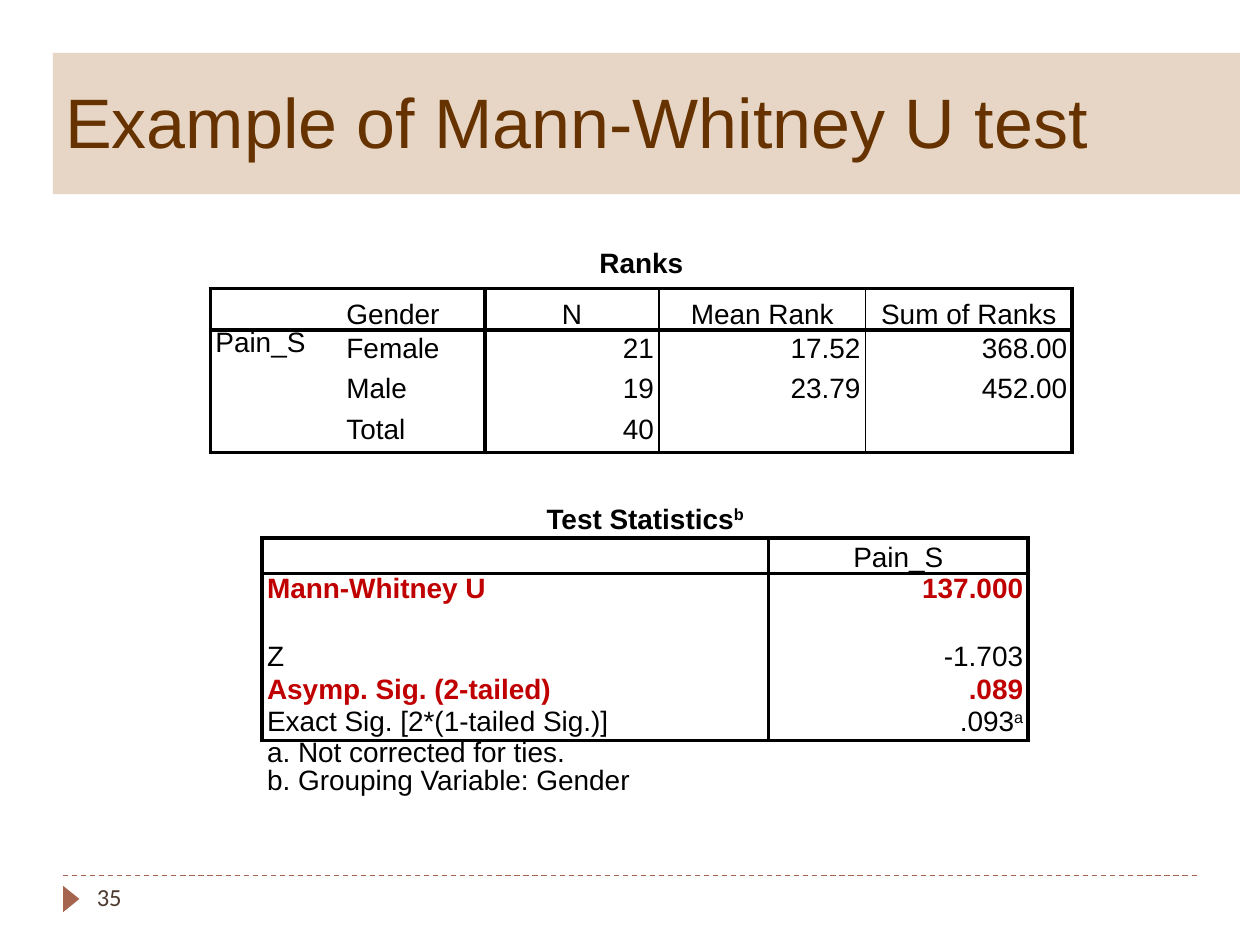
import dataclasses

import pptx
import pptx.dml.color
import pptx.enum.dml
import pptx.enum.shapes
import pptx.enum.text
import pptx.oxml.ns
import pptx.util
from lxml import etree

Inches = pptx.util.Inches
Pt = pptx.util.Pt
Shape = pptx.enum.shapes.MSO_SHAPE
Align = pptx.enum.text.PP_ALIGN
Anchor = pptx.enum.text.MSO_ANCHOR
qn = pptx.oxml.ns.qn


@dataclasses.dataclass(frozen=True)
class Theme:
    banner: str = "E7D6C5"
    title: str = "663300"
    accent: str = "A5644E"
    footer: str = "4E3B30"
    ink: str = "000000"
    highlight: str = "C00000"
    paper: str = "FFFFFF"
    font: str = "Arial"
    footer_font: str = "Calibri"
    title_size: int = 40
    table_size: int = 16
    footer_size: int = 14
    thick: float = 2.25
    thin: float = 1


def rgb(color):
    return pptx.dml.color.RGBColor.from_string(color)


class SlideBuilder:
    def __init__(self, slide, theme):
        self.shapes = slide.shapes
        self.theme = theme

    def style(self, para, size, color, font=None, bold=False, align=Align.LEFT):
        para.alignment = align
        para.font.size = Pt(size)
        para.font.name = font or self.theme.font
        para.font.bold = bold
        para.font.color.rgb = rgb(color)

    def shape(self, kind, left, top, width, height, color):
        shape = self.shapes.add_shape(
            kind, Inches(left), Inches(top), Inches(width), Inches(height))
        shape.shadow.inherit = False
        shape.fill.solid()
        shape.fill.fore_color.rgb = rgb(color)
        shape.line.fill.background()
        return shape

    def title(self, text):
        banner = self.shape(Shape.RECTANGLE, 0.42, 0.42, 9.42, 1.12, self.theme.banner)
        banner.text_frame.word_wrap = True
        banner.text_frame.vertical_anchor = Anchor.MIDDLE
        para = banner.text_frame.paragraphs[0]
        para.text = text
        para.line_spacing = Pt(45)
        self.style(para, self.theme.title_size, self.theme.title)

    def footer(self, number):
        rule = self.shapes.add_connector(
            pptx.enum.shapes.MSO_CONNECTOR.STRAIGHT,
            Inches(0.5), Inches(6.95), Inches(9.5), Inches(6.95))
        rule.line.color.rgb = rgb(self.theme.accent)
        rule.line.width = Pt(0.75)
        rule.line.dash_style = pptx.enum.dml.MSO_LINE.DASH
        etree.SubElement(rule._element.spPr, qn("a:effectLst"))
        marker = self.shape(
            Shape.ISOSCELES_TRIANGLE, 0.46, 7.07, 0.21, 0.13, self.theme.accent)
        marker.rotation = 90
        box = self.shapes.add_textbox(
            Inches(0.67), Inches(6.95), Inches(2.17), Inches(0.4))
        box.text_frame.word_wrap = True
        para = box.text_frame.paragraphs[0]
        para.text = number
        self.style(para, self.theme.footer_size, self.theme.footer, self.theme.footer_font)

    def border(self, cell, side, width):
        properties = cell._tc.get_or_add_tcPr()
        line = etree.SubElement(properties, qn(f"a:ln{side}"), w=str(Pt(width)))
        if not width:
            etree.SubElement(line, qn("a:noFill"))
            return
        fill = etree.SubElement(line, qn("a:solidFill"))
        etree.SubElement(fill, qn("a:srgbClr"), val=self.theme.ink)

    def cell(self, cell, text, align, anchor, color, bold):
        cell.margin_left = cell.margin_right = Inches(0.04)
        cell.margin_top = cell.margin_bottom = 0
        cell.vertical_anchor = anchor
        cell.fill.solid()
        cell.fill.fore_color.rgb = rgb(self.theme.paper)
        frame = cell.text_frame
        for index, line in enumerate(text.split("\n")):
            para = frame.add_paragraph() if index else frame.paragraphs[0]
            para.line_spacing = Pt(16)
            self.style(para, self.theme.table_size, color, bold=bold, align=align)
            base, _, superscript = line.partition("^")
            if base:
                para.add_run().text = base
            if superscript:
                span = para.add_run()
                span.text = superscript
                span._r.get_or_add_rPr().set("baseline", "30000")

    def table(self, left, top, columns, heights, rows, verticals, rules,
              merges, label_columns, top_cells, highlighted=()):
        table = self.shapes.add_table(
            len(heights), len(columns), Inches(left), Inches(top),
            Inches(sum(columns)), Inches(sum(heights))).table
        table.first_row = table.horz_banding = False
        for column, width in zip(table.columns, columns):
            column.width = Inches(width)
        for row, height in zip(table.rows, heights):
            row.height = Inches(height)
        for first, last in merges:
            table.cell(*first).merge(table.cell(*last))
        framed = range(rules[0], rules[-1])
        for r, row in enumerate(rows):
            for c, text in enumerate(row):
                cell = table.cell(r, c)
                bottom = r + (cell.span_height if cell.is_merge_origin else 1)
                edges = {
                    "L": verticals[c] if r in framed else 0,
                    "R": verticals[c + 1] if r in framed else 0,
                    "T": self.theme.thick if r in rules else 0,
                    "B": self.theme.thick if bottom in rules else 0,
                }
                for side, width in edges.items():
                    self.border(cell, side, width)
                if r == 0 or (r == 1 and c >= label_columns):
                    align = Align.CENTER
                else:
                    align = Align.LEFT if c < label_columns else Align.RIGHT
                anchor = Anchor.BOTTOM if r == 1 else Anchor.MIDDLE
                if (r, c) in top_cells:
                    anchor = Anchor.TOP
                color = self.theme.highlight if r in highlighted else self.theme.ink
                self.cell(cell, text, align, anchor, color, r == 0 or r in highlighted)


def main():
    deck = pptx.Presentation()
    deck.slide_width, deck.slide_height = Inches(10), Inches(7.5)
    theme = Theme()
    page = SlideBuilder(deck.slides.add_slide(deck.slide_layouts[6]), theme)
    page.footer("35")
    page.title("Example of Mann-Whitney U test")
    page.table(
        1.67, 1.92, [1.04, 1.14, 1.38, 1.64, 1.64], [0.37, 0.33, 0.32, 0.32, 0.33],
        [["Ranks", "", "", "", ""],
         ["", "Gender", "N", "Mean Rank", "Sum of Ranks"],
         ["Pain_S", "Female", "21", "17.52", "368.00"],
         ["", "Male", "19", "23.79", "452.00"],
         ["", "Total", "40", "", ""]],
        verticals=[theme.thick, 0, theme.thick, theme.thin, theme.thin, theme.thick],
        rules=[1, 2, 5], merges=[((0, 0), (0, 4)), ((2, 0), (4, 0))],
        label_columns=2, top_cells=[(2, 0)])
    page.table(
        2.08, 4, [4.02, 2.06], [0.27, 0.28, 0.27, 0.27, 0.27, 0.25, 0.27, 0.54],
        [["Test Statistics^b", ""],
         ["", "Pain_S"],
         ["Mann-Whitney U", "137.000"],
         ["", ""],
         ["Z", "-1.703"],
         ["Asymp. Sig. (2-tailed)", ".089"],
         ["Exact Sig. [2*(1-tailed Sig.)]", ".093^a"],
         ["a. Not corrected for ties.\nb. Grouping Variable: Gender", ""]],
        verticals=[theme.thick] * 3, rules=[1, 2, 7],
        merges=[((0, 0), (0, 1)), ((7, 0), (7, 1))],
        label_columns=1, top_cells=[(7, 0)], highlighted=[2, 5])
    deck.save("out.pptx")


if __name__ == "__main__":
    main()
